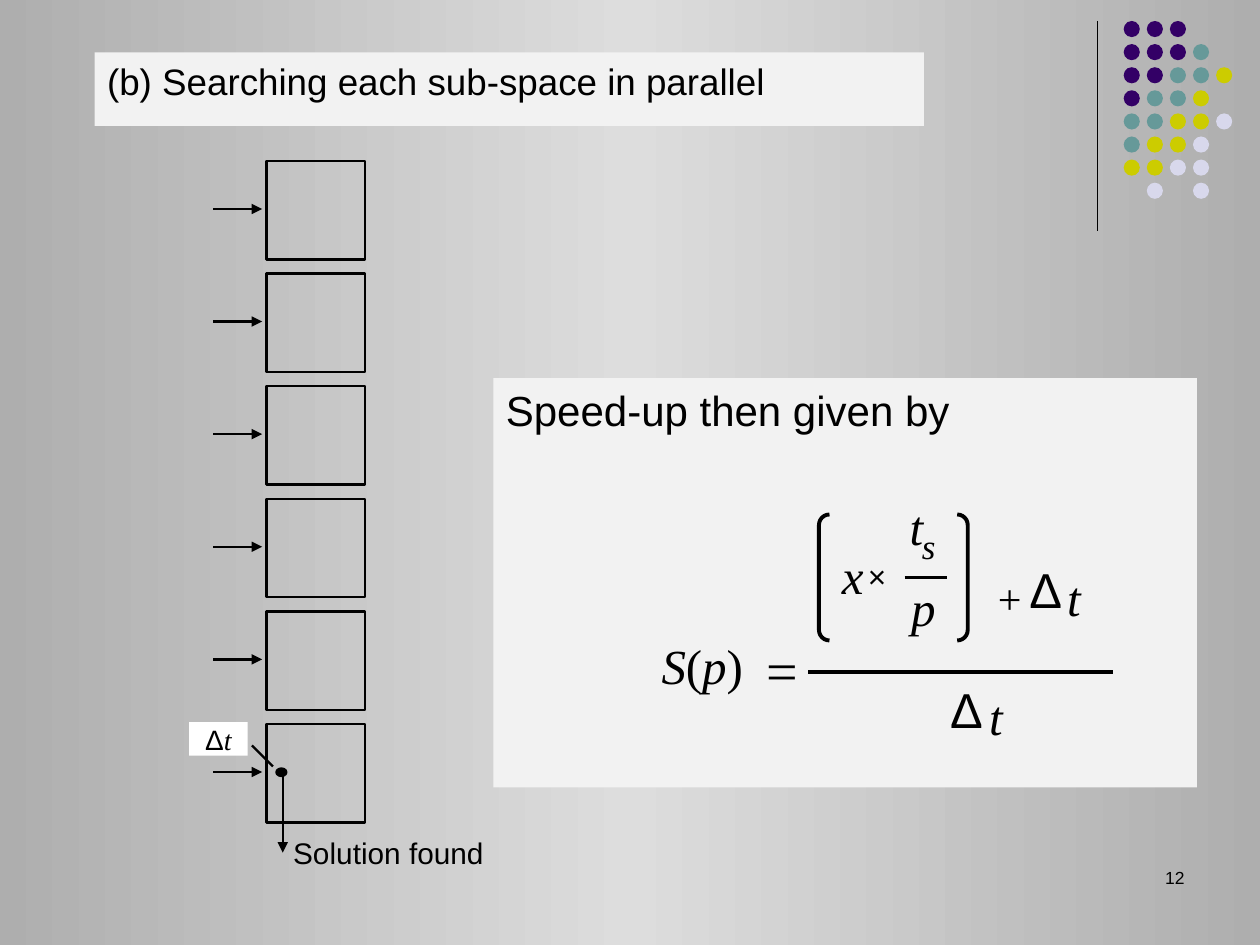
from copy import deepcopy
from dataclasses import dataclass
from typing import Optional

from lxml.etree import SubElement
from pptx import Presentation
from pptx.dml.color import RGBColor
from pptx.enum.shapes import MSO_CONNECTOR, MSO_SHAPE
from pptx.enum.text import MSO_ANCHOR, MSO_AUTO_SIZE, PP_ALIGN
from pptx.oxml.ns import qn
from pptx.util import Pt


@dataclass(frozen=True)
class Theme:
    ink: str = "000000"
    panel: str = "F2F2F2"
    white: str = "FFFFFF"
    edge: str = "AEAEAE"
    glow: str = "DDDDDD"
    purple: str = "330066"
    teal: str = "669999"
    yellow: str = "CCCC00"
    lilac: str = "D8D8EC"
    sans: str = "Arial"
    serif: str = "Times New Roman"
    head: float = 21
    lead: float = 24
    note: float = 17
    label: float = 16
    number: float = 10
    math: float = 28
    sub: float = 20
    times: float = 18
    plus: float = 24
    equal: float = 32
    hair: float = 0.75
    thin: float = 1.39
    thick: float = 2.25


THEME = Theme()


@dataclass(frozen=True)
class Box:
    left: float
    top: float
    width: float
    height: float

    def points(self) -> tuple:
        return Pt(self.left), Pt(self.top), Pt(self.width), Pt(self.height)


@dataclass(frozen=True)
class Run:
    text: str
    size: float
    font: str = THEME.sans
    italic: bool = False


@dataclass(frozen=True)
class Term:
    """One piece of the formula."""
    box: Box
    runs: tuple


def color(code: str) -> RGBColor:
    return RGBColor.from_string(code)


def write(shape, runs, align=PP_ALIGN.LEFT, inset=(0, 0), wrap=True) -> None:
    frame = shape.text_frame
    frame.auto_size = MSO_AUTO_SIZE.NONE
    frame.word_wrap = wrap
    frame.vertical_anchor = MSO_ANCHOR.TOP
    frame.margin_left = frame.margin_right = Pt(inset[0])
    frame.margin_top = frame.margin_bottom = Pt(inset[1])
    line = frame.paragraphs[0]
    line.alignment = align
    line.space_before = Pt(0)
    for item in runs:
        run = line.add_run()
        run.text = item.text
        run.font.size = Pt(item.size)
        run.font.name = item.font
        run.font.italic = item.italic
        run.font.color.rgb = color(THEME.ink)


def add_text(shapes, box: Box, runs, **style) -> None:
    write(shapes.add_textbox(*box.points()), runs, **style)


def add_form(shapes, kind, box: Box, fill: Optional[str] = None, line: float = 0):
    form = shapes.add_shape(kind, *box.points())
    form.shadow.inherit = False
    if fill:
        form.fill.solid()
        form.fill.fore_color.rgb = color(fill)
    else:
        form.fill.background()
    if line:
        form.line.color.rgb = color(THEME.ink)
        form.line.width = Pt(line)
    else:
        form.line.fill.background()
    return form


def add_line(shapes, start, end, width: float, arrow: bool = False) -> None:
    ends = [Pt(value) for value in (*start, *end)]
    line = shapes.add_connector(MSO_CONNECTOR.STRAIGHT, *ends)
    line.line.color.rgb = color(THEME.ink)
    line.line.width = Pt(width)
    props = line._element.spPr
    if arrow:
        SubElement(props.find(qn("a:ln")), qn("a:tailEnd"), type="triangle")
    SubElement(props, qn("a:effectLst"))


def paint_back(slide) -> None:
    fill = slide.background.fill
    fill.gradient()
    fill.gradient_angle = 0
    stops = slide._element.find(".//" + qn("a:gsLst"))
    stops.append(deepcopy(stops[0]))
    shades = (THEME.edge, THEME.glow, THEME.edge)
    for i, (stop, shade) in enumerate(zip(fill.gradient_stops, shades)):
        stop.position = i / 2
        stop.color.rgb = color(shade)


def draw_dots(slide) -> None:
    add_line(slide.shapes, (627.1, 12), (627.1, 132), THEME.hair)
    tones = {"P": THEME.purple, "T": THEME.teal, "Y": THEME.yellow, "L": THEME.lilac}
    rows = ("PPP", "PPPT", "PPTTY", "PTTY", "TTYYL", "TYYL", "YYLL", ".L.L")
    group = slide.shapes.add_group_shape().shapes
    for r, row in enumerate(rows):
        for c, key in enumerate(row):
            if key in tones:
                dot = Box(642.1 + 13.2 * c, 12 + 13.2 * r, 9.2, 9.2)
                add_form(group, MSO_SHAPE.OVAL, dot, tones[key])


def draw_search(slide) -> None:
    shapes = slide.shapes
    top, step, side = 92, 64.35, 56.2
    for i in range(6):
        box = Box(152.4, top + i * step, side, side)
        add_form(shapes, MSO_SHAPE.RECTANGLE, box, line=THEME.thin)
        mid = 119.4 + i * step
        add_line(shapes, (122, mid), (149.8, mid), THEME.thin, arrow=True)
    add_line(shapes, (161.6, 441.4), (161.6, 487.2), THEME.thin, arrow=True)
    add_form(shapes, MSO_SHAPE.OVAL, Box(158, 439.2, 5.6, 4.2), THEME.ink, THEME.thin)
    add_text(shapes, Box(167.5, 476.8, 109, 20), [Run("Solution found", THEME.note)], wrap=False)
    tag = add_form(shapes, MSO_SHAPE.RECTANGLE, Box(108, 412.6, 33.6, 19.2), THEME.white)
    write(tag, [Run("Δ", THEME.label), Run("t", THEME.label, THEME.serif, True)], PP_ALIGN.CENTER)
    add_line(shapes, (144, 426), (156, 438), THEME.thin)


def var(text: str, size: float = THEME.math) -> Run:
    return Run(text, size, THEME.serif, True)


def sign(text: str, size: float = THEME.math) -> Run:
    return Run(text, size, THEME.serif)


def draw_math(slide) -> None:
    panel = add_form(slide.shapes, MSO_SHAPE.RECTANGLE, Box(282, 216, 402, 234), THEME.panel)
    write(panel, [Run("Speed-up then given by", THEME.lead)], inset=(7.2, 3.6))
    group = slide.shapes.add_group_shape().shapes
    delta = Run("Δ", THEME.math)
    terms = (
        Term(Box(378, 363, 46.8, 34), (var("S"), sign("("), var("p"), sign(")"))),
        Term(Box(481, 311.8, 12.4, 34), (var("x"),)),
        Term(Box(519.8, 283.7, 7.8, 34), (var("t"),)),
        Term(Box(526.8, 299.5, 7.8, 24), (var("s", THEME.sub),)),
        Term(Box(520.6, 329.8, 14, 34), (var("p"),)),
        Term(Box(496, 318.2, 14.4, 22), (Run("×", THEME.times),)),
        Term(Box(609.8, 324, 7.8, 34), (var("t"),)),
        Term(Box(588.2, 319.7, 17.3, 34), (delta,)),
        Term(Box(570.2, 326.9, 13.6, 29), (sign("+", THEME.plus),)),
        Term(Box(565.2, 392.4, 7.8, 34), (var("t"),)),
        Term(Box(542.9, 388.1, 17.3, 34), (delta,)),
        Term(Box(437.8, 362.9, 18, 38), (sign("=", THEME.equal),)),
    )
    for term in terms:
        add_text(group, term.box, term.runs, wrap=False)
    add_line(group, (462, 384), (636, 384), THEME.thick)
    add_line(group, (517, 330), (541, 330), THEME.thick)
    for kind, left in ((MSO_SHAPE.LEFT_BRACKET, 468), (MSO_SHAPE.RIGHT_BRACKET, 547)):
        brace = add_form(group, kind, Box(left, 294, 6, 72), line=THEME.thick)
        brace.adjustments[0] = 1


def draw_head(slide) -> None:
    title, body = slide.shapes.title, slide.placeholders[1]
    title._element.getparent().remove(title._element)
    body.left, body.top, body.width, body.height = Box(54, 30, 474, 42).points()
    body.fill.solid()
    body.fill.fore_color.rgb = color(THEME.panel)
    props = body.text_frame.paragraphs[0]._p.get_or_add_pPr()
    props.set("marL", "0")
    props.set("indent", "0")
    SubElement(props, qn("a:buNone"))
    write(body, [Run("(b) Searching each sub-space in parallel", THEME.head)], inset=(7.2, 3.6))


def main() -> None:
    deck = Presentation()
    deck.slide_width, deck.slide_height = Pt(720), Pt(540)
    slide = deck.slides.add_slide(deck.slide_layouts[1])
    paint_back(slide)
    draw_head(slide)
    draw_dots(slide)
    page = [Run("12", THEME.number)]
    add_text(slide.shapes, Box(516, 492, 168, 36), page, align=PP_ALIGN.RIGHT, inset=(7.2, 3.6))
    draw_search(slide)
    draw_math(slide)
    deck.save("out.pptx")


if __name__ == "__main__":
    main()
